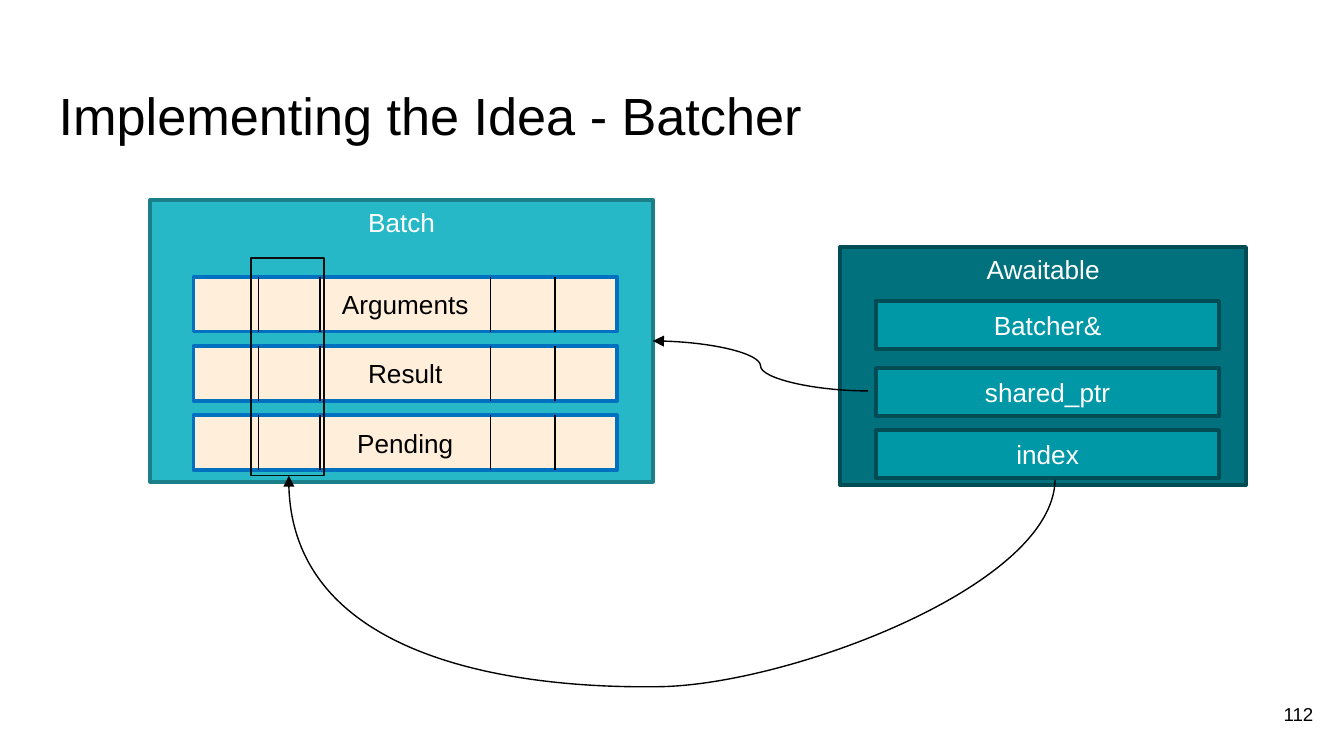
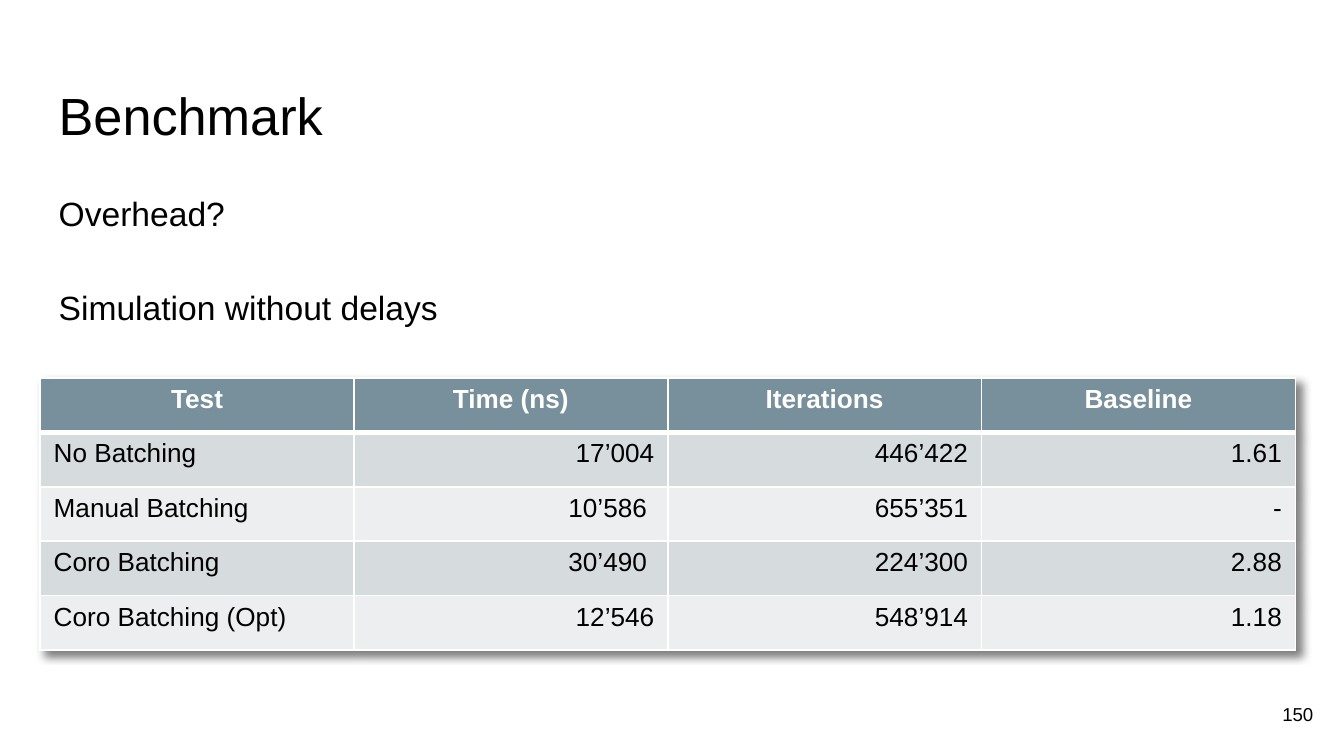
from dataclasses import dataclass
from typing import NamedTuple, Optional

from lxml.etree import SubElement
from pptx import Presentation
from pptx.dml.color import RGBColor
from pptx.enum.shapes import MSO_CONNECTOR as Link, MSO_SHAPE as Preset
from pptx.enum.text import MSO_ANCHOR as Anchor, MSO_AUTO_SIZE as AutoSize, PP_ALIGN as Align
from pptx.oxml import parse_xml
from pptx.oxml.ns import nsdecls, qn
from pptx.util import Cm, Pt


@dataclass(frozen=True)
class Theme:
    font: str = "Arial"
    title_size: float = 28
    body_size: float = 18
    label_size: float = 14
    number_size: float = 10
    thin: float = 0.75
    black: str = "000000"
    white: str = "FFFFFF"
    frame: str = "0D0D0D"
    header: str = "78909C"
    bands: tuple = ("D6DBDE", "ECEEEF")


THEME = Theme()


class Box(NamedTuple):
    """Left, top, width and height in centimetres."""
    left: float
    top: float
    width: float
    height: float

    def lengths(self) -> list:
        return [Cm(value) for value in self]


class Style(NamedTuple):
    fill: Optional[str]
    line: str
    text: str = THEME.white
    line_width: float = 2


class Panel(NamedTuple):
    label: str
    box: Box
    style: Style
    anchor: Anchor = Anchor.MIDDLE


BATCH = Style("27B8C7", "1B7F89")
FIELD = Style("FFEED9", "0070C0", THEME.black)
AWAITABLE = Style("00717D", "004C54")
MEMBER = Style("0097A7", "004C54")
FRAME = Style(None, THEME.frame, line_width=1)

TITLE_BOX = Box(0.86, 1.24, 23.67, 1.6)
BODY_BOX = Box(0.86, 3.2, 23.67, 9.5)
NUMBER_BOX = Box(23.55, 12.95, 1.52, 1.09)
INSET, TOP_INSET = 0.25, 0.34


def rgb(colour: str) -> RGBColor:
    return RGBColor.from_string(colour)


# Shared text and line helpers
def format_text(paragraph, size: float, colour: str = THEME.black,
                align: Align = Align.LEFT, bold: bool = False) -> None:
    paragraph.alignment = align
    font = paragraph.font
    font.name, font.size, font.bold = THEME.font, Pt(size), bold
    font.color.rgb = rgb(colour)


def set_frame(frame, anchor: Anchor, top: float = INSET) -> None:
    frame.word_wrap, frame.auto_size = True, AutoSize.NONE
    frame.vertical_anchor = anchor
    frame.margin_left = frame.margin_right = frame.margin_bottom = Cm(INSET)
    frame.margin_top = Cm(top)


def set_line(shape, colour: str, width: float, arrow: bool = False) -> None:
    shape.line.color.rgb = rgb(colour)
    shape.line.width = Pt(width)
    if arrow:
        SubElement(shape.element.spPr.find(qn("a:ln")), qn("a:tailEnd"), type="triangle")


def place(shape, box: Box) -> None:
    shape.left, shape.top, shape.width, shape.height = box.lengths()


# Slide frame: title and page number
def add_slide(deck, layout: int, title: str, number: int):
    slide = deck.slides.add_slide(deck.slide_layouts[layout])
    heading = slide.shapes.title
    place(heading, TITLE_BOX)
    heading.text_frame.text = title
    set_frame(heading.text_frame, Anchor.TOP, TOP_INSET)
    format_text(heading.text_frame.paragraphs[0], THEME.title_size)

    page = slide.shapes.add_textbox(*NUMBER_BOX.lengths()).text_frame
    page.text = str(number)
    set_frame(page, Anchor.MIDDLE)
    format_text(page.paragraphs[0], THEME.number_size, align=Align.RIGHT)
    return slide


# Diagram parts
def add_panel(slide, panel: Panel):
    label, box, style, anchor = panel
    shape = slide.shapes.add_shape(Preset.RECTANGLE, *box.lengths())
    shape.shadow.inherit = False
    if style.fill:
        shape.fill.solid()
        shape.fill.fore_color.rgb = rgb(style.fill)
    else:
        shape.fill.background()
    set_line(shape, style.line, style.line_width)
    if label:
        shape.text_frame.text = label
        shape.text_frame.word_wrap = True
        shape.text_frame.vertical_anchor = anchor
        format_text(shape.text_frame.paragraphs[0], THEME.label_size, style.text, Align.CENTER)
    return shape


def add_link(slide, kind: Link, start: tuple, end: tuple, arrow: bool = False):
    link = slide.shapes.add_connector(kind, *map(Cm, start + end))
    set_line(link, THEME.black, THEME.thin, arrow)
    SubElement(link.element.spPr, qn("a:effectLst"))
    return link


def add_curve(slide, start: tuple, curves: list) -> None:
    """Draw cubic curves, each given as two control points and an end point."""
    builder = slide.shapes.build_freeform(Cm(start[0]), Cm(start[1]))
    builder.add_line_segments([(Cm(x), Cm(y)) for *_, (x, y) in curves], close=False)
    shape = builder.convert_to_shape()
    shape.shadow.inherit = False
    shape.fill.background()
    set_line(shape, THEME.black, THEME.thin, arrow=True)
    segments = list(shape.element.iter(qn("a:lnTo")))
    for segment, points in zip(segments, curves):
        segment.tag = qn("a:cubicBezTo")
        for old in list(segment):
            segment.remove(old)
        for x, y in points:
            SubElement(segment, qn("a:pt"), x=str(Cm(x) - shape.left), y=str(Cm(y) - shape.top))


def build_batcher(deck) -> None:
    slide = add_slide(deck, 5, "Implementing the Idea - Batcher", 112)

    # Batch with its three arrays
    batch = add_panel(slide, Panel("Batch", Box(2.84, 3.78, 9.5, 5.33), BATCH, Anchor.TOP))
    first_top, pitch, height = 5.23, 1.31, 1.04
    for index, label in enumerate(("Arguments", "Result", "Pending")):
        top = first_top + index * pitch
        add_panel(slide, Panel(label, Box(3.66, top, 8, height), FIELD))
        for x in (4.88, 6.05, 9.27, 10.49):
            add_link(slide, Link.STRAIGHT, (x, top), (x, top + height))

    # Awaitable with its members
    add_panel(slide, Panel("Awaitable", Box(15.88, 4.67, 7.67, 4.5), AWAITABLE, Anchor.TOP))
    for label, top in (("Batcher&", 5.69), ("shared_ptr", 6.96), ("index", 8.13)):
        add_panel(slide, Panel(label, Box(16.56, top, 6.48, 0.91), MEMBER))

    # Pointer to the batch, and index to the framed slot
    pointer = add_link(slide, Link.CURVE, (16.41, 7.39), (12.34, 6.45), arrow=True)
    pointer.end_connect(batch, 3)
    add_curve(slide, (19.94, 9.07), [
        ((19.91, 11.07), (14.94, 12.93), (12.5, 12.98)),
        ((9.65, 13.03), (5.38, 12.4), (5.46, 8.99)),
    ])
    add_panel(slide, Panel("", Box(4.75, 4.88, 1.37, 4.11), FRAME))


# Benchmark results
RESULTS = (
    ("Test", "Time (ns)", "Iterations", "Baseline"),
    ("No Batching", "17’004", "446’422", "1.61"),
    ("Manual Batching", "10’586 ", "655’351", "-"),
    ("Coro Batching", "30’490 ", "224’300", "2.88"),
    ("Coro Batching (Opt)", "12’546", "548’914", "1.18"),
)


def set_borders(cell, top: float, bottom: float) -> None:
    properties = cell._tc.get_or_add_tcPr()
    for side, width in (("L", 1), ("R", 1), ("T", top), ("B", bottom)):
        edge = SubElement(properties, qn(f"a:ln{side}"), w=str(Pt(width)))
        SubElement(SubElement(edge, qn("a:solidFill")), qn("a:srgbClr"), val=THEME.white)


def add_results(slide, left: float, top: float, column: float, row: float) -> None:
    rows, columns = len(RESULTS), len(RESULTS[0])
    box = Box(left, top, column * columns, row * rows)
    table = slide.shapes.add_table(rows, columns, *box.lengths()).table
    table.horz_banding = False
    table._tbl.tblPr.insert(0, parse_xml(
        f'<a:effectLst {nsdecls("a")}><a:outerShdw blurRad="50800" dist="50800" dir="2700000" '
        'algn="tl" rotWithShape="0"><a:srgbClr val="000000"><a:alpha val="50000"/>'
        '</a:srgbClr></a:outerShdw></a:effectLst>'))
    for r, values in enumerate(RESULTS):
        is_header = r == 0
        for c, value in enumerate(values):
            cell = table.cell(r, c)
            cell.text = value
            set_borders(cell, 3 if r == 1 else 1, 3 if is_header else 1)
            cell.fill.solid()
            cell.fill.fore_color.rgb = rgb(THEME.header if is_header else THEME.bands[(r - 1) % 2])
            align = Align.CENTER if is_header else Align.RIGHT if c else Align.LEFT
            format_text(cell.text_frame.paragraphs[0], THEME.label_size,
                        THEME.white if is_header else THEME.black, align, is_header)


def build_benchmark(deck) -> None:
    slide = add_slide(deck, 1, "Benchmark", 150)

    # Questions
    questions = slide.placeholders[1]
    place(questions, BODY_BOX)
    frame = questions.text_frame
    frame.text = "Overhead?\nSimulation without delays"
    set_frame(frame, Anchor.TOP, TOP_INSET)
    for index, paragraph in enumerate(frame.paragraphs):
        paragraph.line_spacing = 1.15
        paragraph.space_before = Pt(25.5 if index else 0)
        properties = paragraph._p.get_or_add_pPr()
        properties.set("marL", "0")
        properties.set("indent", "0")
        SubElement(properties, qn("a:buNone"))
        format_text(paragraph, THEME.body_size)

    add_results(slide, left=0.76, top=7.14, column=5.93, row=1.03)


def main() -> None:
    deck = Presentation()
    deck.slide_width, deck.slide_height = Cm(25.4), Cm(14.29)
    build_batcher(deck)
    build_benchmark(deck)
    deck.save("out.pptx")


if __name__ == "__main__":
    main()
